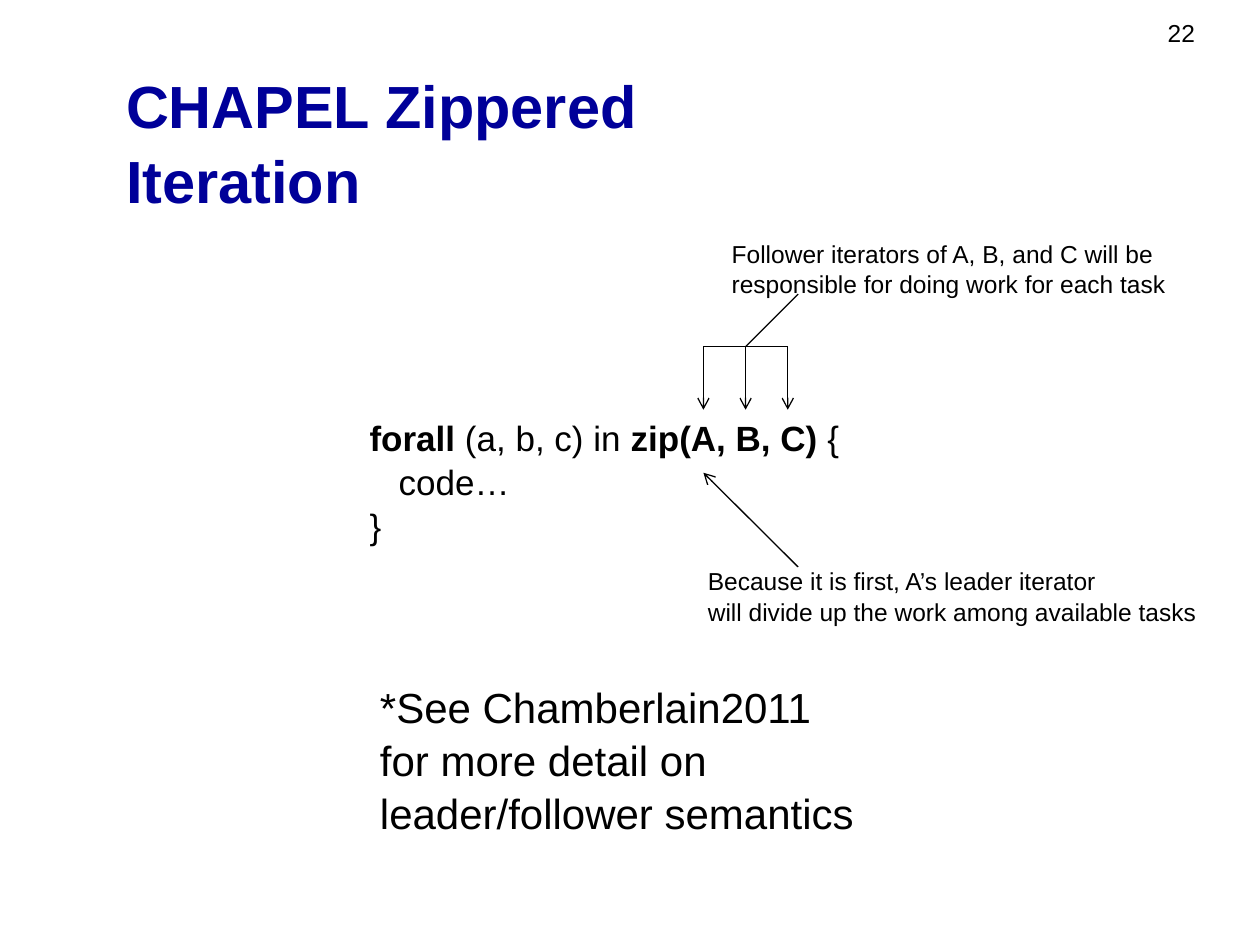
import pptx
import pptx.dml.color
import pptx.enum.shapes
import pptx.enum.text
import pptx.oxml
import pptx.oxml.ns
import pptx.util

Cm = pptx.util.Cm
Pt = pptx.util.Pt
theme = {
    "font": "Arial",
    "ink": pptx.dml.color.RGBColor.from_string("000000"),
    "title_ink": pptx.dml.color.RGBColor.from_string("000099"),
    "title": Pt(34),
    "note": Pt(24),
    "code": Pt(20),
    "label": Pt(14),
    "line": Pt(0.75),
    "spacing": 1.05,
}


def write_text(box, lines, size, ink="ink", wrap=True, inset=(0.25, 0.13)):
    frame = box.text_frame
    frame_format = {
        "word_wrap": wrap,
        "auto_size": pptx.enum.text.MSO_AUTO_SIZE.NONE,
        "vertical_anchor": pptx.enum.text.MSO_ANCHOR.TOP,
        "margin_left": Cm(inset[0]),
        "margin_right": Cm(inset[0]),
        "margin_top": Cm(inset[1]),
        "margin_bottom": Cm(inset[1]),
    }
    for name, value in frame_format.items():
        setattr(frame, name, value)
    for index, line in enumerate(lines):
        para = frame.add_paragraph() if index else frame.paragraphs[0]
        para_format = {
            "alignment": pptx.enum.text.PP_ALIGN.LEFT,
            "line_spacing": theme["spacing"],
            "space_before": Pt(0),
        }
        for name, value in para_format.items():
            setattr(para, name, value)
        for words, bold in line:
            span = para.add_run()
            span.text = words
            span.font.color.rgb = theme[ink]
            span_format = {"name": theme["font"], "size": theme[size], "bold": bold}
            for name, value in span_format.items():
                setattr(span.font, name, value)


def add_line(shapes, start, end, arrow=False):
    line = shapes.add_connector(
        pptx.enum.shapes.MSO_CONNECTOR.STRAIGHT, *map(Cm, start + end)
    )
    line.line.color.rgb = theme["ink"]
    line.line.width = theme["line"]
    if arrow:
        tail = pptx.oxml.parse_xml(
            f'<a:tailEnd {pptx.oxml.ns.nsdecls("a")} type="arrow"/>'
        )
        line.line._get_or_add_ln().append(tail)
    effects = pptx.oxml.parse_xml(f'<a:effectLst {pptx.oxml.ns.nsdecls("a")}/>')
    line._element.spPr.append(effects)


deck = pptx.Presentation()
deck.slide_width = Cm(25.4)
deck.slide_height = Cm(19.05)
page = deck.slides.add_slide(deck.slide_layouts[5])

title = page.shapes.title
title_place = {"left": 2.54, "top": 1.32, "width": 14.81, "height": 2.72}
for name, value in title_place.items():
    setattr(title, name, Cm(value))
write_text(title, [[("CHAPEL Zippered Iteration", True)]], "title", "title_ink", inset=(0, 0))

leader = page.shapes.add_group_shape().shapes
follower = page.shapes.add_group_shape().shapes
code = [
    [("forall", True), (" (a, b, c) in ", False), ("zip(A, B, C) ", True), ("{", False)],
    [("   code…", False)],
    [("}", False)],
]
leader_label = [
    [("Because it is first, A’s leader iterator", False)],
    [("will divide up the work among available tasks", False)],
]
follower_label = [
    [("Follower iterators of A, B, and C will be", False)],
    [("responsible for doing work for each task", False)],
]
note = [[("*See Chamberlain2011 for more detail on leader/follower semantics", False)]]
texts = [
    (page.shapes, (23.29, 0.2, 1.47, 0.86), [[("22", False)]], "label", True),
    (page.shapes, (7.2, 8.23, 11.43, 3.66), code, "code", True),
    (leader, (14.02, 11.25, 10.36, 1.45), leader_label, "label", False),
    (follower, (14.5, 4.65, 9.25, 1.45), follower_label, "label", False),
    (page.shapes, (7.41, 13.56, 10.36, 3.3), note, "note", True),
]
for shapes, place, lines, size, wrap in texts:
    box = shapes.add_textbox(*map(Cm, place))
    write_text(box, lines, size, wrap=wrap)

iterator_x = [14.18 + 0.85 * index for index in range(3)]
bracket_y = 6.99
label_x = 16.09
add_line(leader, (label_x, 11.43), (iterator_x[0], 9.53), arrow=True)
for x in iterator_x:
    add_line(follower, (x, bracket_y), (x, 8.26), arrow=True)
add_line(follower, (iterator_x[2], bracket_y), (iterator_x[0], bracket_y))
add_line(follower, (iterator_x[1], bracket_y), (label_x, 5.93))

deck.save("out.pptx")
